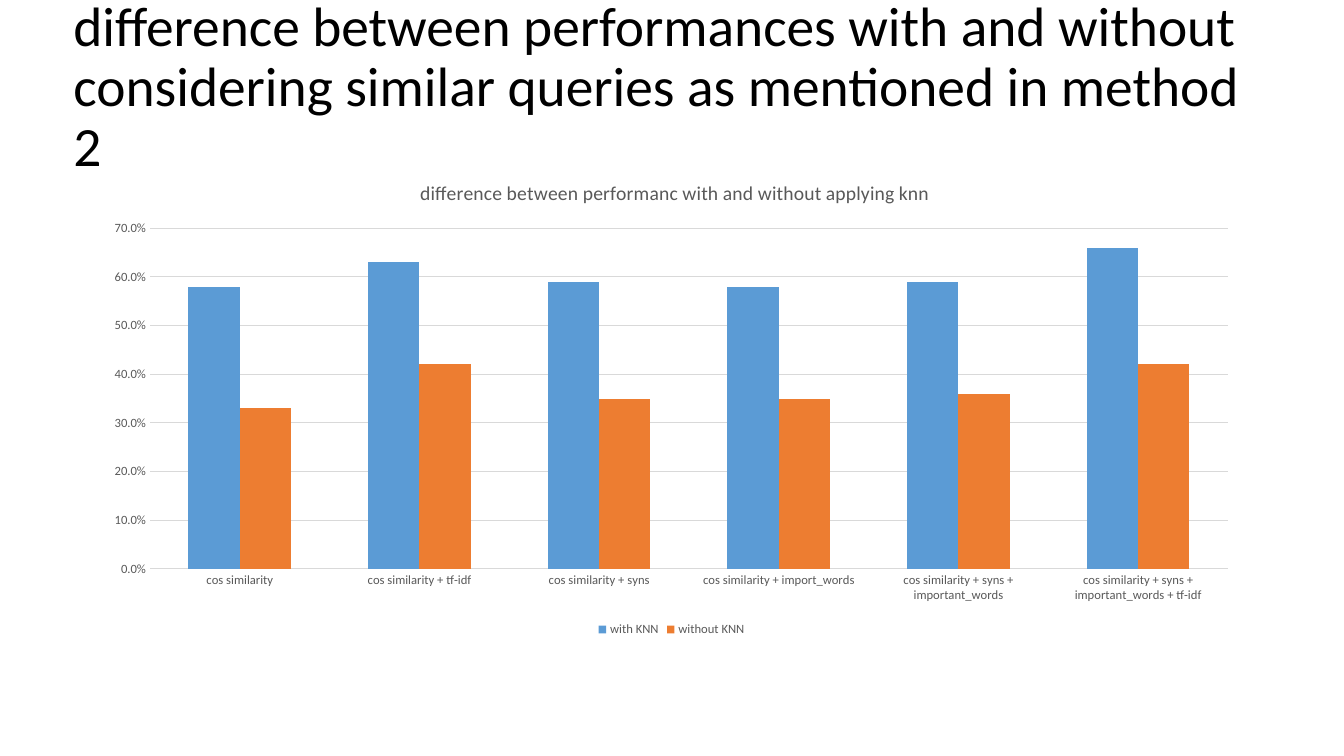
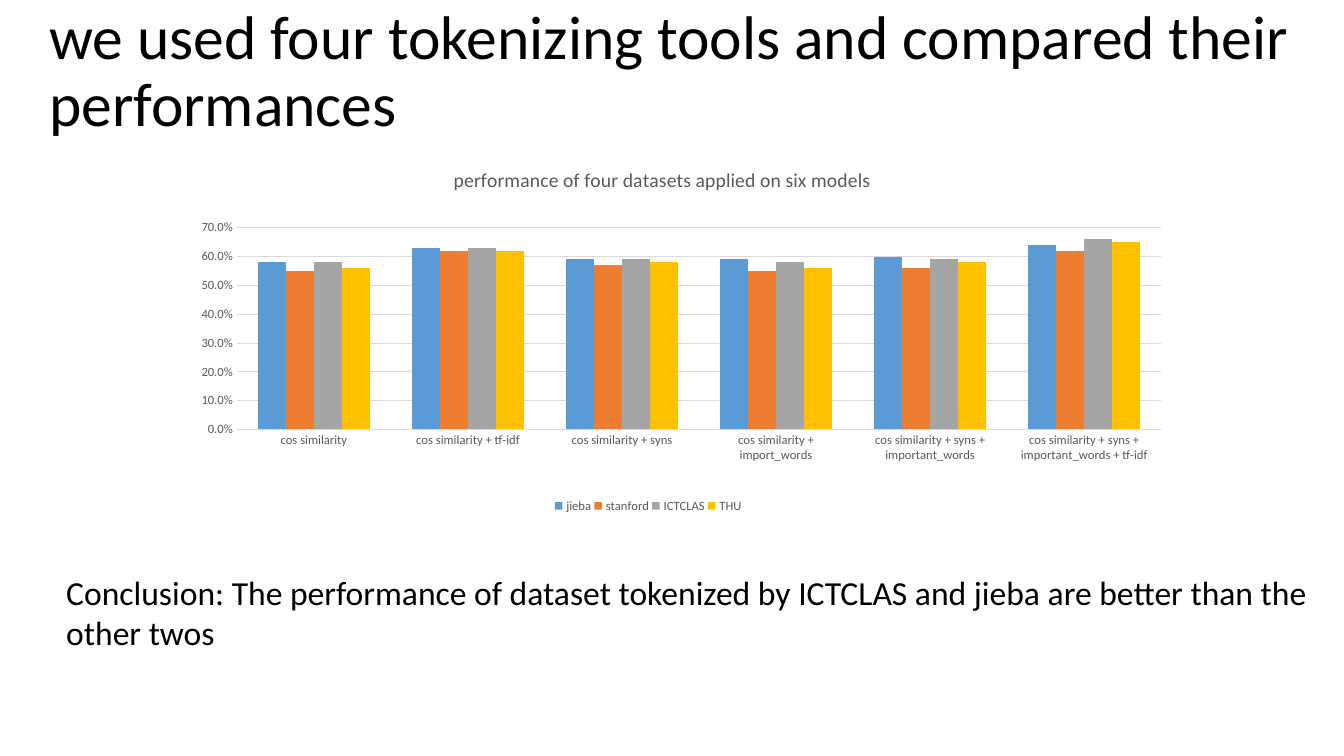
import pptx
import pptx.chart.data
import pptx.dml.color
import pptx.enum.chart
import pptx.enum.text
import pptx.oxml
import pptx.oxml.ns
import pptx.util

Cm = pptx.util.Cm
Pt = pptx.util.Pt
RGBColor = pptx.dml.color.RGBColor

BLACK = RGBColor(0x00, 0x00, 0x00)
GREY_TEXT = RGBColor(0x59, 0x59, 0x59)
GRID = RGBColor(0xD9, 0xD9, 0xD9)
BLUE = RGBColor(0x5B, 0x9B, 0xD5)
ORANGE = RGBColor(0xED, 0x7D, 0x31)
GREY = RGBColor(0xA5, 0xA5, 0xA5)
YELLOW = RGBColor(0xFF, 0xC0, 0x00)
SERIES_COLORS = (BLUE, ORANGE, GREY, YELLOW)

# Data shared by both charts
MODELS = (
    "cos similarity",
    "cos similarity + tf-idf",
    "cos similarity + syns",
    "cos similarity + import_words",
    "cos similarity + syns + important_words",
    "cos similarity + syns + important_words + tf-idf",
)
ICTCLAS_SCORES = (0.58, 0.63, 0.59, 0.58, 0.59, 0.66)


def set_layout(element, index, **fractions):
    """Place a chart part by fractions of the chart: x, y and optionally w, h."""
    for old in element.findall(pptx.oxml.ns.qn("c:layout")):
        element.remove(old)
    target = '<c:layoutTarget val="inner"/>' if index == 0 else ""
    modes = '<c:xMode val="edge"/><c:yMode val="edge"/>'
    values = "".join(f'<c:{name} val="{value}"/>' for name, value in fractions.items())
    element.insert(index, pptx.oxml.parse_xml(
        f'<c:layout {pptx.oxml.ns.nsdecls("c")}><c:manualLayout>'
        f"{target}{modes}{values}</c:manualLayout></c:layout>"))


class Presenter:
    """Holds the common style and the current slide."""

    font = "Calibri"

    def __init__(self):
        self.deck = pptx.Presentation()
        self.deck.slide_width = Cm(33.87)
        self.deck.slide_height = Cm(19.05)
        self.page = None

    def new_page(self):
        self.page = self.deck.slides.add_slide(self.deck.slide_layouts[6])

    def style(self, font, size, color):
        font.name = self.font
        font.size = Pt(size)
        font.bold = False
        font.color.rgb = color

    def text(self, words, left, top, width, height, size):
        box = self.page.shapes.add_textbox(Cm(left), Cm(top), Cm(width), Cm(height))
        box.text_frame.word_wrap = True
        para = box.text_frame.paragraphs[0]
        span = para.add_run()
        span.text = words
        self.style(span.font, size, BLACK)
        return box

    def title(self, words, left, top, width, height, size):
        box = self.text(words, left, top, width, height, size)
        box.text_frame.vertical_anchor = pptx.enum.text.MSO_ANCHOR.MIDDLE
        box.text_frame.paragraphs[0].line_spacing = 0.9

    def column_chart(self, heading, scores, left, top, width, height, plot, heading_at):
        data = pptx.chart.data.CategoryChartData(number_format="0.0%")
        data.categories = MODELS
        for name, values in scores.items():
            data.add_series(name, values)
        chart = self.page.shapes.add_chart(
            pptx.enum.chart.XL_CHART_TYPE.COLUMN_CLUSTERED,
            Cm(left), Cm(top), Cm(width), Cm(height), data).chart
        self.style(chart.font, 10, BLACK)

        # Heading
        chart.has_title = True
        span = chart.chart_title.text_frame.paragraphs[0].add_run()
        span.text = heading
        self.style(span.font, 14, GREY_TEXT)
        set_layout(chart.chart_title._element, 1, **heading_at)

        # Columns
        columns = chart.plots[0]
        columns.gap_width = 150
        columns.overlap = 0
        columns.vary_by_categories = False
        for series, color in zip(columns.series, SERIES_COLORS):
            series.format.fill.solid()
            series.format.fill.fore_color.rgb = color
        set_layout(chart._chartSpace.chart.plotArea, 0, **plot)

        # Axes
        for axis in (chart.category_axis, chart.value_axis):
            axis.major_tick_mark = pptx.enum.chart.XL_TICK_MARK.NONE
            axis.minor_tick_mark = pptx.enum.chart.XL_TICK_MARK.NONE
            axis.format.line.fill.background()
            self.style(axis.tick_labels.font, 9, GREY_TEXT)
        scale = chart.value_axis
        scale.minimum_scale, scale.maximum_scale, scale.major_unit = 0, 0.7, 0.1
        scale.tick_labels.number_format = "0.0%"
        scale.tick_labels.number_format_is_linked = False
        scale.has_major_gridlines = True
        scale.major_gridlines.format.line.color.rgb = GRID
        scale.major_gridlines.format.line.width = Pt(0.75)

        # Legend
        chart.has_legend = True
        chart.legend.position = pptx.enum.chart.XL_LEGEND_POSITION.BOTTOM
        chart.legend.include_in_layout = False
        self.style(chart.legend.font, 9, GREY_TEXT)
        return chart


def main():
    show = Presenter()

    # Effect of similar queries
    show.new_page()
    show.title("difference between performances with and without considering "
               "similar queries as mentioned in method 2",
               1.6, 0.17, 29.95, 4.11, 39.6)
    show.column_chart(
        "difference between performanc with and without applying knn",
        {"with KNN": ICTCLAS_SCORES,
         "without KNN": (0.33, 0.42, 0.35, 0.35, 0.36, 0.42)},
        2.32, 4.06, 29.21, 12.09,
        plot={"x": 0.05, "y": 0.14, "w": 0.93, "h": 0.71},
        heading_at={"x": 0.28, "y": 0.03})

    # Comparison of tokenizers
    show.new_page()
    show.title("we used four tokenizing tools and compared their performances",
               0.99, 0, 33.63, 3.68, 44)
    chart = show.column_chart(
        "performance of four datasets applied on six models",
        {"jieba": (0.58, 0.63, 0.59, 0.59, 0.6, 0.64),
         "stanford": (0.55, 0.62, 0.57, 0.55, 0.56, 0.62),
         "ICTCLAS": ICTCLAS_SCORES,
         "THU": (0.56, 0.62, 0.58, 0.56, 0.58, 0.65)},
        3.92, 3.68, 25.6, 13.74,
        plot={"x": 0.08, "y": 0.15, "w": 0.91, "h": 0.37},
        heading_at={"x": 0.29, "y": 0.03})
    set_layout(chart.legend._element, 1, x=0.39, y=0.64, w=0.19, h=0.04)
    show.text("Conclusion: The performance of dataset tokenized by ICTCLAS and "
              "jieba are better than the other twos",
              1.42, 14.29, 31.98, 2.31, 24)

    show.deck.save("out.pptx")


if __name__ == "__main__":
    main()
